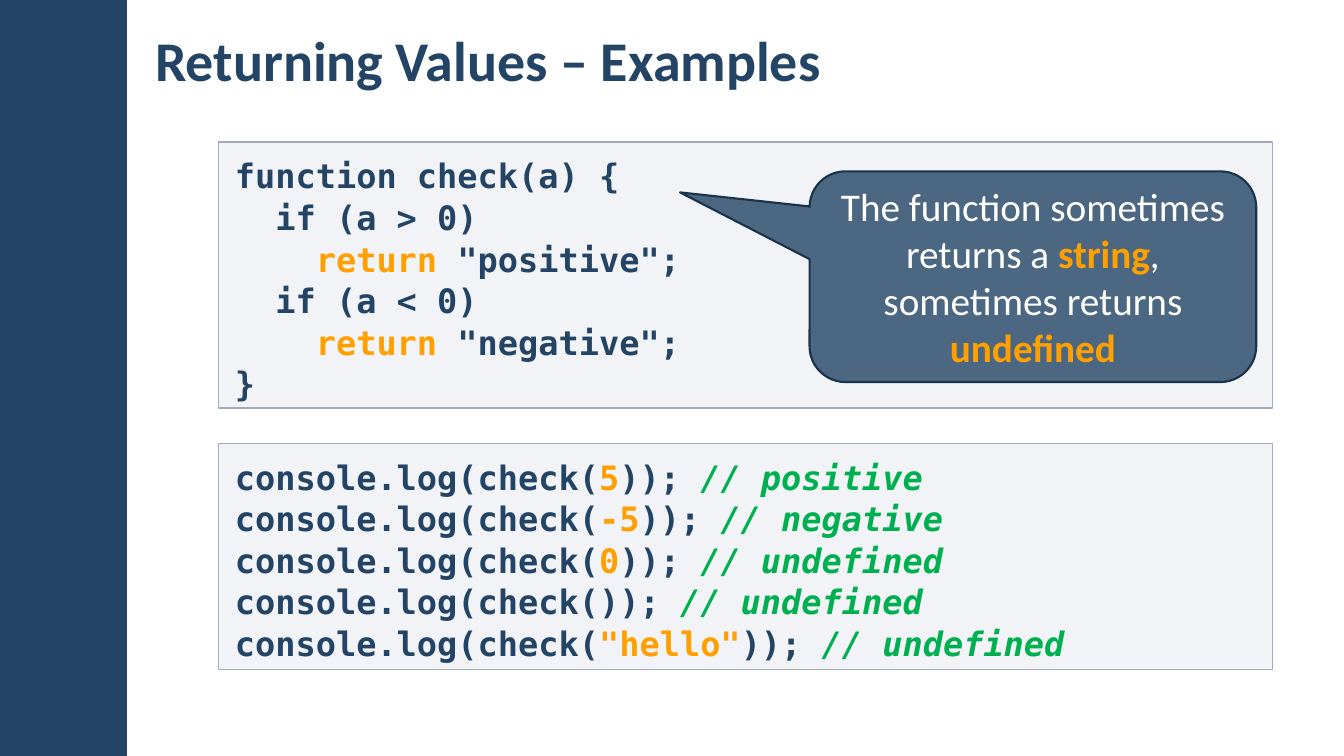
from lxml.etree import SubElement
from pptx import Presentation
from pptx.dml.color import RGBColor
from pptx.enum.shapes import MSO_SHAPE
from pptx.enum.text import MSO_ANCHOR, PP_ALIGN
from pptx.oxml.ns import qn
from pptx.util import Inches, Pt

COLORS = {
    "navy": "234465",
    "dark": "1A334C",
    "panel": "C2C7D2",
    "border": "A3ABBC",
    "orange": "FFA000",
    "green": "00B050",
    "white": "FFFFFF",
}
TEXT_FONT = "Calibri"
CODE_FONT = "DejaVu Sans Mono"

# Each style is (colour, bold, italic).
STYLES = {
    "code": ("navy", True, False),
    "accent": ("orange", True, False),
    "comment": ("green", True, True),
    "plain": ("white", False, False),
}

FUNCTION_LINES = [
    [("function check(a) {", "code")],
    [("  if (a > 0)", "code")],
    [("    ", "code"), ("return", "accent"), (' "positive";', "code")],
    [("  if (a < 0)", "code")],
    [("    ", "code"), ("return", "accent"), (' "negative";', "code")],
    [("}", "code")],
]
CALLS = [
    ("5", "positive"),
    ("-5", "negative"),
    ("0", "undefined"),
    ("", "undefined"),
    ('"hello"', "undefined"),
]
CALLOUT_TEXT = [
    ("The function sometimes returns a ", "plain"),
    ("string", "accent"),
    (", sometimes returns ", "plain"),
    ("undefined", "accent"),
]


def color(name):
    return RGBColor.from_string(COLORS[name])


def call_line(argument, result):
    """Return the runs of one console.log call with its result as a comment."""
    comment = (f"// {result}", "comment")
    if not argument:
        return [("console.log(check()); ", "code"), comment]
    return [("console.log(check(", "code"), (argument, "accent"),
            (")); ", "code"), comment]


def add_box(page, kind, place, fill, opacity=100, line=None, line_width=1):
    box = page.shapes.add_shape(kind, *[Inches(length) for length in place])
    box.shadow.inherit = False
    box.fill.solid()
    box.fill.fore_color.rgb = color(fill)
    if opacity < 100:
        tint = box.fill._xPr.find(qn("a:solidFill"))[0]
        SubElement(tint, qn("a:alpha")).set("val", str(opacity * 1000))
    if line:
        box.line.color.rgb = color(line)
        box.line.width = Pt(line_width)
    else:
        box.line.fill.background()
    return box


def set_frame(box, side, top, anchor):
    frame = box.text_frame
    frame.word_wrap = True
    frame.vertical_anchor = anchor
    frame.margin_left = frame.margin_right = Inches(side)
    frame.margin_top = frame.margin_bottom = Inches(top)
    return frame


def add_runs(para, runs, font, size):
    for text, style in runs:
        name, bold, italic = STYLES[style]
        span = para.add_run()
        span.text = text
        span.font.name = font
        span.font.size = Pt(size)
        span.font.bold = bold
        span.font.italic = italic
        span.font.color.rgb = color(name)


def add_title(page, text):
    box = page.shapes.add_textbox(Inches(1.42), Inches(0.11), Inches(9.19), Inches(0.96))
    frame = set_frame(box, 0.12, 0.04, MSO_ANCHOR.MIDDLE)
    add_runs(frame.paragraphs[0], [(text, "code")], TEXT_FONT, 40)


def add_code_panel(page, top, lines):
    """Add a panel whose height follows from its number of code lines."""
    height = 0.4 * len(lines) + 0.24
    box = add_box(page, MSO_SHAPE.RECTANGLE, (2.17, top, 10.45, height),
                  "panel", opacity=20, line="border")
    frame = set_frame(box, 0.16, 0.12, MSO_ANCHOR.TOP)
    for index, runs in enumerate(lines):
        para = frame.add_paragraph() if index else frame.paragraphs[0]
        para.alignment = PP_ALIGN.LEFT
        para.line_spacing = 1.03
        add_runs(para, runs, CODE_FONT, 24)


def add_callout(page, runs):
    box = add_box(page, MSO_SHAPE.ROUNDED_RECTANGULAR_CALLOUT, (8.03, 1.7, 4.43, 2.09),
                  "navy", opacity=80, line="dark", line_width=1.5)
    for index, value in enumerate((-0.79, -0.4, 0.17)):
        box.adjustments[index] = value
    para = set_frame(box, 0.1, 0.05, MSO_ANCHOR.MIDDLE).paragraphs[0]
    para.alignment = PP_ALIGN.CENTER
    add_runs(para, runs, TEXT_FONT, 28)


def main():
    deck = Presentation()
    deck.slide_width = Inches(13.33)
    deck.slide_height = Inches(7.5)
    page = deck.slides.add_slide(deck.slide_layouts[6])
    add_box(page, MSO_SHAPE.RECTANGLE, (0, 0, 1.26, 7.5), "navy")
    add_title(page, "Returning Values – Examples")
    add_code_panel(page, 1.41, FUNCTION_LINES)
    add_code_panel(page, 4.4, [call_line(*call) for call in CALLS])
    add_callout(page, CALLOUT_TEXT)
    deck.save("out.pptx")


if __name__ == "__main__":
    main()
